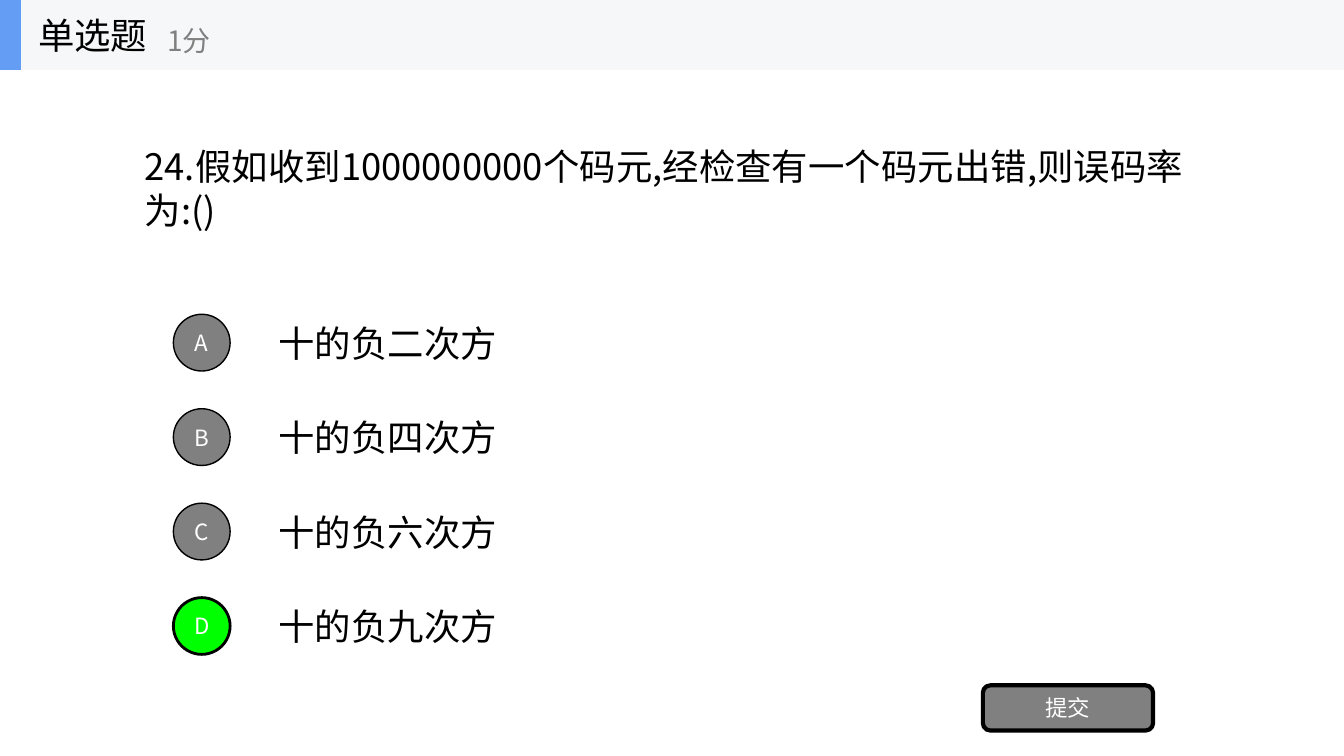
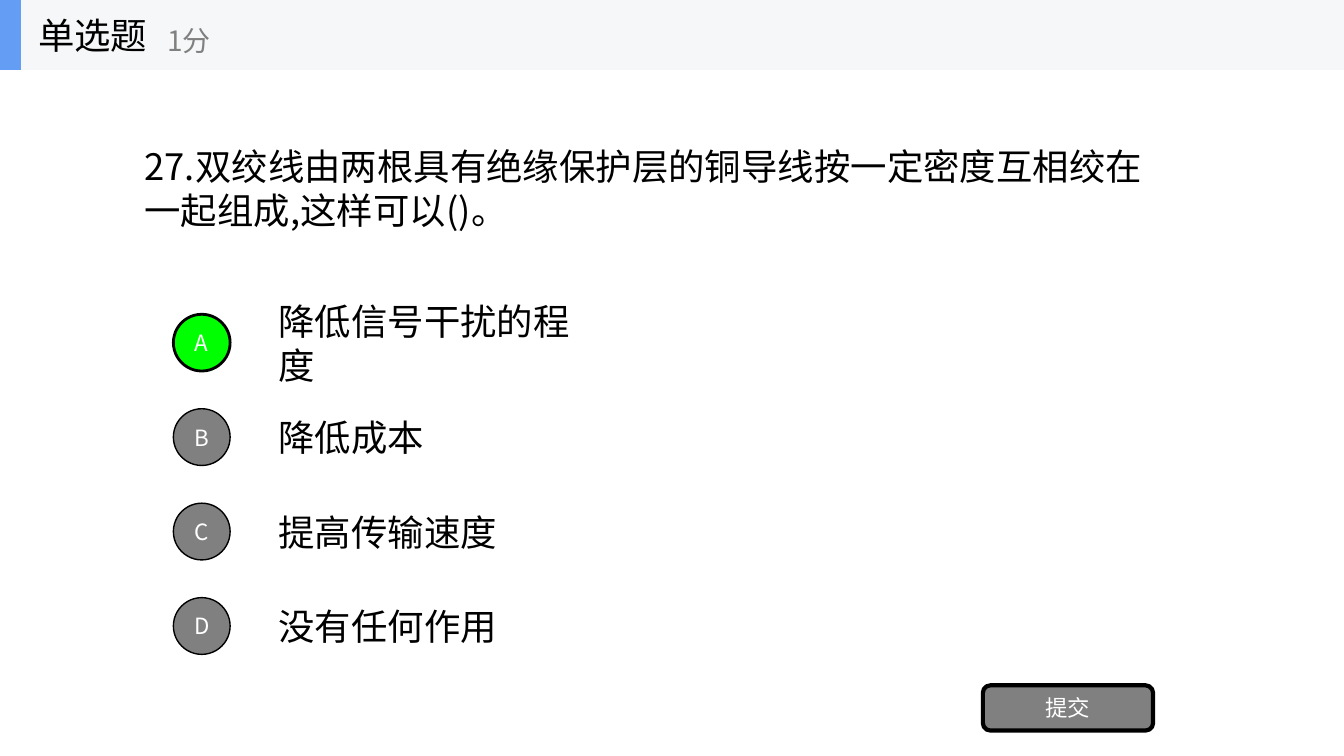
import lxml.etree
import pptx
import pptx.dml.color
import pptx.enum.shapes
import pptx.enum.text
import pptx.oxml.ns
import pptx.util

Cm, Pt = pptx.util.Cm, pptx.util.Pt
RGBColor = pptx.dml.color.RGBColor
SHAPE = pptx.enum.shapes.MSO_SHAPE
ALIGN = pptx.enum.text.PP_ALIGN
AUTO = pptx.enum.text.MSO_AUTO_SIZE
MIDDLE = pptx.enum.text.MSO_ANCHOR.MIDDLE

BLACK = RGBColor(0x00, 0x00, 0x00)
WHITE = RGBColor(0xFF, 0xFF, 0xFF)
GREY = RGBColor(0x80, 0x80, 0x80)
GREEN = RGBColor(0x00, 0xFF, 0x00)
BLUE = RGBColor(0x63, 0x9E, 0xF4)
PALE = RGBColor(0xF6, 0xF7, 0xF8)

QUESTIONS = [
    {"text": "24.假如收到1000000000个码元,经检查有一个码元出错,则误码率为:()",
     "width": 26.9, "answer": "D",
     "options": ["十的负二次方", "十的负四次方", "十的负六次方", "十的负九次方"]},
    {"text": "27.双绞线由两根具有绝缘保护层的铜导线按一定密度互相绞在一起组成,这样可以()。",
     "width": 26.57, "answer": "A",
     "options": ["降低信号干扰的程度", "降低成本", "提高传输速度", "没有任何作用"]},
]


class Quiz:
    """Build quiz slides that share one style."""

    FONT = "Noto Sans CJK SC"
    WIDTH, HEIGHT = 33.87, 19.05
    BAND_HEIGHT = 1.76
    TOP, STEP, CIRCLE = 7.92, 2.38, 1.43
    CHAR, INSETS, MAX_OPTION = 0.92, 0.52, 8.76

    def __init__(self):
        self.prs = pptx.Presentation()
        self.prs.slide_width = Cm(self.WIDTH)
        self.prs.slide_height = Cm(self.HEIGHT)
        self.s = None

    def fill_text(self, sp, text, size, color, align=ALIGN.LEFT, wrap=True, auto=AUTO.NONE):
        tf = sp.text_frame
        frame = {"word_wrap": wrap, "auto_size": auto, "vertical_anchor": MIDDLE}
        for name, value in frame.items():
            setattr(tf, name, value)
        p = tf.paragraphs[0]
        p.alignment = align
        r = p.add_run()
        r.text = text
        for name, value in {"size": Pt(size), "name": self.FONT}.items():
            setattr(r.font, name, value)
        r.font.color.rgb = color
        ea = lxml.etree.SubElement(r._r.get_or_add_rPr(), pptx.oxml.ns.qn("a:ea"))
        ea.set("typeface", self.FONT)

    def text(self, shapes, box, text, size=26, color=BLACK, **frame):
        sp = shapes.add_textbox(*map(Cm, box))
        self.fill_text(sp, text, size, color, **frame)

    def shape(self, shapes, kind, box, fill, line=0, label=None):
        sp = shapes.add_shape(kind, *map(Cm, box))
        sp.shadow.inherit = False
        sp.fill.solid()
        sp.fill.fore_color.rgb = fill
        if line:
            sp.line.color.rgb = BLACK
            sp.line.width = Pt(line)
        else:
            sp.line.fill.background()
        if label:
            self.fill_text(sp, label, 16, WHITE, ALIGN.CENTER)

    def title(self, text, width):
        sp = self.s.shapes.title
        box = {"left": 3.39, "top": 3.5, "width": width, "height": 2.46}
        for name, value in box.items():
            setattr(sp, name, Cm(value))
        self.fill_text(sp, text, 26, BLACK, auto=AUTO.SHAPE_TO_FIT_TEXT)

    def option(self, index, text, correct):
        top = self.TOP + index * self.STEP
        width = min(self.INSETS + self.CHAR * len(text), self.MAX_OPTION)
        self.text(self.s.shapes, (6.77, top + 0.04, width, 1.35), text,
                  auto=AUTO.SHAPE_TO_FIT_TEXT)
        fill, line = (GREEN, 2) if correct else (GREY, 1)
        self.shape(self.s.shapes, SHAPE.OVAL, (4.37, top, self.CIRCLE, self.CIRCLE),
                   fill, line, "ABCD"[index])

    def button(self, label):
        self.shape(self.s.shapes, SHAPE.ROUNDED_RECTANGLE, (24.77, 17.27, 4.29, 1.14),
                   GREY, 3, label)

    def header(self, kind, score):
        shapes = self.s.shapes.add_group_shape().shapes
        self.shape(shapes, SHAPE.RECTANGLE, (0, 0, self.WIDTH, self.BAND_HEIGHT), PALE)
        self.shape(shapes, SHAPE.RECTANGLE, (0, 0, 0.53, self.BAND_HEIGHT), BLUE)
        self.text(shapes, (0.71, 0, 5.28, self.BAND_HEIGHT), kind, wrap=False)
        self.text(shapes, (3.96, 0.3, 6.35, 1.42), score, 20, GREY, wrap=False)

    def question(self, text, width, answer, options):
        self.s = self.prs.slides.add_slide(self.prs.slide_layouts[5])
        self.title(text, width)
        for i, option in enumerate(options):
            self.option(i, option, "ABCD"[i] == answer)
        self.button("提交")
        self.header("单选题", "1分")


def main():
    quiz = Quiz()
    for question in QUESTIONS:
        quiz.question(**question)
    quiz.prs.save("out.pptx")


if __name__ == "__main__":
    main()
